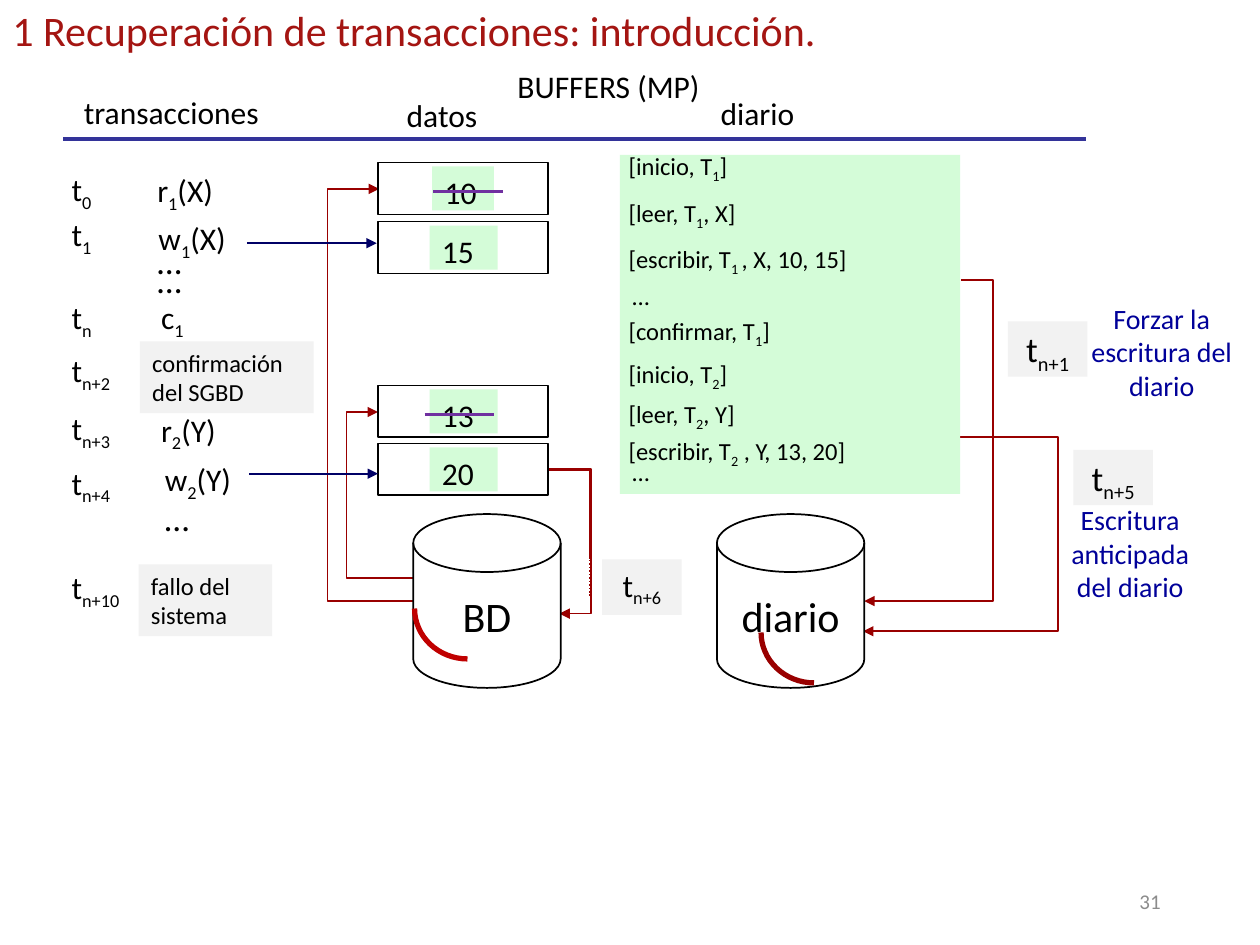
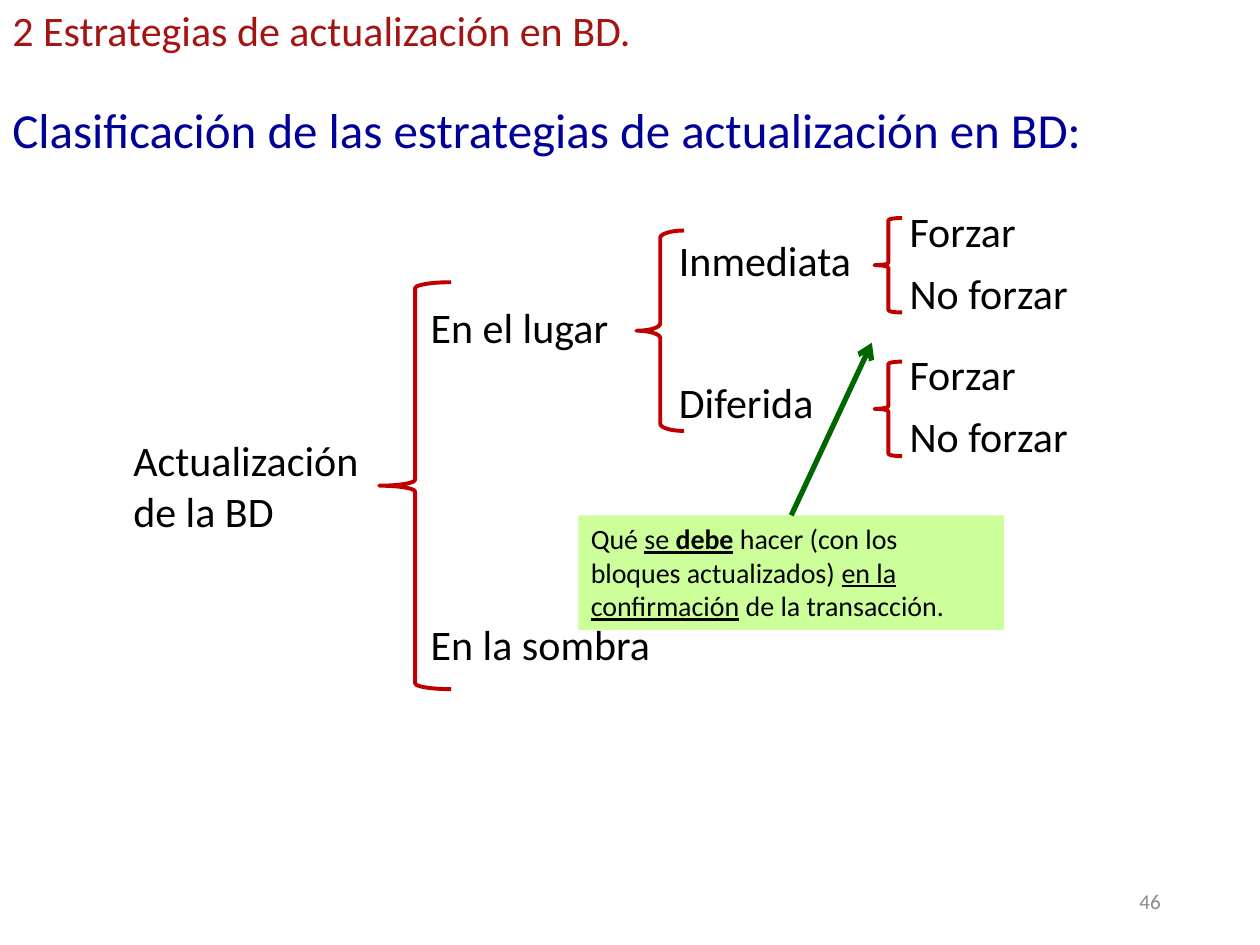
from math import cos, pi, sin

from lxml.etree import SubElement
from pptx import Presentation
from pptx.dml.color import RGBColor
from pptx.enum.dml import MSO_LINE
from pptx.enum.shapes import MSO_CONNECTOR, MSO_SHAPE
from pptx.enum.text import MSO_ANCHOR, PP_ALIGN
from pptx.oxml.ns import qn
from pptx.util import Inches, Pt

FONT = "Calibri"
BLACK = RGBColor(0x00, 0x00, 0x00)
WHITE = RGBColor(0xFF, 0xFF, 0xFF)
TITLE_RED = RGBColor(0xA4, 0x15, 0x12)
ROUTE_RED = RGBColor(0x99, 0x00, 0x00)
BRACE_RED = RGBColor(0xC0, 0x00, 0x00)
TEXT_BLUE = RGBColor(0x00, 0x00, 0x99)
ARROW_BLUE = RGBColor(0x00, 0x00, 0x66)
RULE_BLUE = RGBColor(0x33, 0x33, 0x99)
PURPLE = RGBColor(0x70, 0x30, 0xA0)
DARK_GREEN = RGBColor(0x00, 0x66, 0x00)
PALE_GREEN = RGBColor(0xD4, 0xFC, 0xD8)
NOTE_GREEN = RGBColor(0xCC, 0xFF, 0x99)
PALE_GREY = RGBColor(0xF2, 0xF2, 0xF2)
NUMBER_GREY = RGBColor(0x8C, 0x8C, 0x8C)


# Text
def add_span(para, text, size, color=BLACK, subscript=False):
    span = para.add_run()
    span.text = text
    span.font.name = FONT
    span.font.size = Pt(size)
    span.font.color.rgb = color
    if subscript:
        span.font._element.set("baseline", "-25000")
    return span


def write(para, text, size, color=BLACK, align=PP_ALIGN.LEFT):
    """Add the text; parts between bars are subscripts."""
    para.alignment = align
    for index, part in enumerate(text.split("|")):
        if part:
            add_span(para, part, size, color, subscript=index % 2 == 1)


def add_label(page, text, left, top, width, height=0.4, size=18, color=BLACK,
              align=PP_ALIGN.LEFT, wrap=True):
    box = page.shapes.add_textbox(Inches(left), Inches(top), Inches(width), Inches(height))
    box.text_frame.word_wrap = wrap
    write(box.text_frame.paragraphs[0], text, size, color, align)
    return box


# Shapes
def add_box(page, kind, left, top, width, height, fill=None, line=None, weight=1):
    box = page.shapes.add_shape(kind, Inches(left), Inches(top), Inches(width), Inches(height))
    box.shadow.inherit = False
    if fill is None:
        box.fill.background()
    else:
        box.fill.solid()
        box.fill.fore_color.rgb = fill
    if line is None:
        box.line.fill.background()
    else:
        box.line.color.rgb = line
        box.line.width = Pt(weight)
    return box


def add_tag(page, text, left, top, width, height, size, fill=PALE_GREY, align=PP_ALIGN.LEFT):
    tag = add_box(page, MSO_SHAPE.RECTANGLE, left, top, width, height, fill)
    tag.text_frame.vertical_anchor = MSO_ANCHOR.TOP
    write(tag.text_frame.paragraphs[0], text, size, align=align)
    return tag


def add_buffer(page, value, top, chip_left=3.41, chip_width=0.54):
    add_box(page, MSO_SHAPE.RECTANGLE, 3, top, 1.35, 0.41, WHITE, BLACK, 0.75)
    add_tag(page, value, chip_left, top + 0.03, chip_width, 0.35, 18, PALE_GREEN)


def add_disk(page, name, left):
    disk = add_box(page, MSO_SHAPE.FLOWCHART_MAGNETIC_DISK, left, 4.08, 1.17, 1.38, WHITE, BLACK)
    disk.text_frame.word_wrap = False
    disk.text_frame.vertical_anchor = MSO_ANCHOR.MIDDLE
    write(disk.text_frame.paragraphs[0], name, 24, align=PP_ALIGN.CENTER)


def add_disk_mark(page, left, top, color, steps=16):
    """Quarter of an ellipse, from its left end down to its bottom."""
    angles = [pi / 2 * step / steps for step in range(steps + 1)]
    points = [(Inches(left + 0.42 * (1 - cos(angle))), Inches(top + 0.4 * sin(angle)))
              for angle in angles]
    builder = page.shapes.build_freeform(*points[0])
    builder.add_line_segments(points[1:], close=False)
    mark = builder.convert_to_shape()
    mark.shadow.inherit = False
    mark.fill.background()
    mark.line.color.rgb = color
    mark.line.width = Pt(3)


def add_brace(page, left, top, width, height, curl=0.083):
    brace = add_box(page, MSO_SHAPE.LEFT_BRACE, left, top, width, height, None, BRACE_RED, 2.25)
    brace.adjustments[0] = curl


# Lines
def add_line(page, start, end, color, weight=1.0, head=None, dash=None,
             kind=MSO_CONNECTOR.STRAIGHT):
    line = page.shapes.add_connector(kind, *[Inches(value) for value in (*start, *end)])
    line.line.color.rgb = color
    line.line.width = Pt(weight)
    if dash:
        line.line.dash_style = dash
    properties = line._element.spPr
    if head:
        SubElement(properties.find(qn("a:ln")), qn("a:tailEnd"), type=head)
    SubElement(properties, qn("a:effectLst"))
    return line


def add_route(page, start, bend_x, end):
    """Elbow arrow whose vertical part stands at bend_x."""
    route = add_line(page, start, end, ROUTE_RED, head="triangle", kind=MSO_CONNECTOR.ELBOW)
    share = (bend_x - start[0]) / (end[0] - start[0])
    geometry = route._element.spPr.find(qn("a:prstGeom"))
    guides = geometry.find(qn("a:avLst"))
    if guides is None:
        guides = SubElement(geometry, qn("a:avLst"))
    SubElement(guides, qn("a:gd"), name="adj1", fmla=f"val {round(share * 100000)}")


# Pages
def add_page(deck, title, title_width, number):
    page = deck.slides.add_slide(deck.slide_layouts[6])
    add_label(page, title, 0, -0.01, title_width, 0.5, 24, TITLE_RED, wrap=False)
    footer = add_label(page, number, 7.06, 6.95, 2.25, 0.4, 12, NUMBER_GREY, PP_ALIGN.RIGHT)
    footer.text_frame.vertical_anchor = MSO_ANCHOR.MIDDLE
    return page


def add_ellipses(page, left, top, height, spacings):
    box = page.shapes.add_textbox(Inches(left), Inches(top), Inches(0.98), Inches(height))
    frame = box.text_frame
    frame.word_wrap = True
    for index, spacing in enumerate(spacings):
        para = frame.add_paragraph() if index else frame.paragraphs[0]
        para.line_spacing = spacing
        if index:
            para.space_before = Pt(4)
        write(para, "…", 20)


def build_recovery(deck):
    page = add_page(deck, "1 Recuperación de transacciones: introducción.", 6.64, "31")

    # Routes between buffers and disks
    add_line(page, (4.25, 3.73), (4.68, 3.73), ROUTE_RED)
    add_line(page, (4.68, 3.72), (4.68, 4.44), ROUTE_RED)
    add_line(page, (4.68, 4.36), (4.68, 4.74), ROUTE_RED, dash=MSO_LINE.ROUND_DOT)
    for start, bend_x, end in [
        ((4.34, 3.72), 4.69, (4.44, 4.87)),
        ((7.44, 3.47), 8.4, (6.85, 5.01)),
        ((3.28, 4.59), 2.75, (3, 3.27)),
        ((3.28, 4.77), 2.6, (3.01, 1.5)),
        ((7.63, 2.22), 7.88, (6.86, 4.77)),
    ]:
        add_route(page, start, bend_x, end)

    # Column headings
    add_line(page, (0.5, 1.1), (8.62, 1.1), RULE_BLUE, 2.25)
    add_label(page, "transacciones", 0.36, 0.69, 2, align=PP_ALIGN.CENTER)
    add_label(page, "datos", 3.13, 0.71, 1.03)
    add_label(page, "diario", 5.62, 0.7, 0.98)
    add_label(page, "BUFFERS (MP)", 3.97, 0.48, 1.72, align=PP_ALIGN.CENTER)

    # Moments and operations
    for moment, top in [("0", 1.3), ("1", 1.66), ("n", 2.32), ("n+2", 2.74),
                        ("n+3", 3.2), ("n+4", 3.63), ("n+10", 4.46)]:
        add_label(page, f"t|{moment}|", 0.47, top, 0.74)
    for operation, left, top in [("r|1|(X)", 1.15, 1.31), ("w|1|(X)", 1.16, 1.69),
                                 ("c|1|", 1.18, 2.32), ("r|2|(Y)", 1.18, 3.21),
                                 ("w|2|(Y)", 1.21, 3.6)]:
        add_label(page, operation, left, top, 1)
    add_ellipses(page, 1.15, 1.85, 0.56, [1.0, 0.15])
    add_ellipses(page, 1.21, 4.13, 0.2, [0.15])
    add_tag(page, "confirmación del SGBD", 1.11, 2.71, 1.38, 0.57, 14)
    add_tag(page, "fallo del sistema", 1.1, 4.48, 1.06, 0.57, 14)

    # Log entries
    add_box(page, MSO_SHAPE.RECTANGLE, 4.92, 1.23, 2.7, 2.69, PALE_GREEN)
    for entry, top in [("[inicio, T|1|]", 1.15), ("[leer, T|1|, X]", 1.52),
                       ("[escribir, T|1 |, X, 10, 15]", 1.89),
                       ("[confirmar, T|1|]", 2.46), ("[inicio, T|2|]", 2.8),
                       ("[leer, T|2|, Y]", 3.12), ("[escribir, T|2| , Y, 13, 20]", 3.41)]:
        add_label(page, entry, 4.89, top, 2.5, 0.34, 14)
    for top in (2.18, 3.58):
        add_label(page, "…", 4.92, top, 0.5, 0.34, 14)

    # Data buffers, with the replaced values struck out
    add_buffer(page, "10", 1.29, 3.43, 0.49)
    add_buffer(page, "15", 1.76)
    add_buffer(page, "13", 3.06)
    add_buffer(page, "20", 3.52)
    for left, top in [(3.44, 1.52), (3.37, 3.29)]:
        add_line(page, (left, top), (left + 0.55, top), PURPLE, 2.25)
    add_line(page, (1.96, 1.93), (2.99, 1.93), ARROW_BLUE, head="triangle")
    add_line(page, (1.98, 3.76), (3, 3.76), ARROW_BLUE, head="triangle")

    # Disks
    add_disk(page, "BD", 3.28)
    add_disk(page, "diario", 5.69)
    add_disk_mark(page, 3.29, 4.83, BRACE_RED)
    add_disk_mark(page, 6.04, 5.02, ROUTE_RED)

    # Write moments
    for moment, left, top, size in [("n+1", 8, 2.55, 20), ("n+5", 8.52, 3.57, 20),
                                    ("n+6", 4.78, 4.44, 18)]:
        add_tag(page, f"t|{moment}|", left, top, 0.63, 0.44, size, align=PP_ALIGN.CENTER)
    for reason, left, top in [("Forzar la escritura del diario", 8.56, 2.34),
                              ("Escritura anticipada del diario", 8.31, 3.94)]:
        add_label(page, reason, left, top, 1.32, 0.91, 16, TEXT_BLUE, PP_ALIGN.CENTER)


def build_strategies(deck):
    page = add_page(deck, "2 Estrategias de actualización en BD.", 5.15, "46")
    add_label(page, "Clasificación de las estrategias de actualización en BD:",
              0, 0.74, 9.14, 0.57, 28, TEXT_BLUE)

    # Note and its arrow
    note = add_tag(page, "", 4.59, 4.09, 3.38, 0.91, 16, NOTE_GREEN)
    para = note.text_frame.paragraphs[0]
    for text, bold, underline in [
        ("Qué ", False, False), ("se", False, True), (" debe", True, True),
        (" hacer (con los bloques actualizados) ", False, False),
        ("en la confirmación", False, True), (" de la transacción.", False, False),
    ]:
        span = add_span(para, text, 16)
        span.font.bold = bold
        span.font.underline = underline
    arrow = add_line(page, (6.28, 4.09), (6.92, 2.72), DARK_GREEN, 3, head="arrow")
    arrow.begin_connect(note, 0)

    # Classification tree
    for name, left, top, width, height in [
        ("Actualización de la BD", 0.96, 3.4, 2.28, 0.91),
        ("En el lugar", 3.32, 2.34, 1.63, 0.51),
        ("En la sombra", 3.32, 4.86, 2.47, 0.51),
        ("Inmediata", 5.29, 1.81, 1.63, 0.51),
        ("Diferida", 5.29, 2.94, 1.63, 0.51),
    ]:
        add_label(page, name, left, top, width, height, 24)
    add_brace(page, 3.01, 2.24, 0.57, 3.23)
    add_brace(page, 5.05, 1.83, 0.38, 1.59, 0.15)
    for top in (1.58, 2.72):
        add_label(page, "Forzar", 7.12, top, 1.21, 0.49, 24)
        add_label(page, "No forzar", 7.12, top + 0.49, 1.51, 0.49, 24)
        add_brace(page, 6.94, top + 0.15, 0.22, 0.75)


def main():
    deck = Presentation()
    deck.slide_width, deck.slide_height = Inches(10), Inches(7.5)
    build_recovery(deck)
    build_strategies(deck)
    deck.save("out.pptx")


if __name__ == "__main__":
    main()
